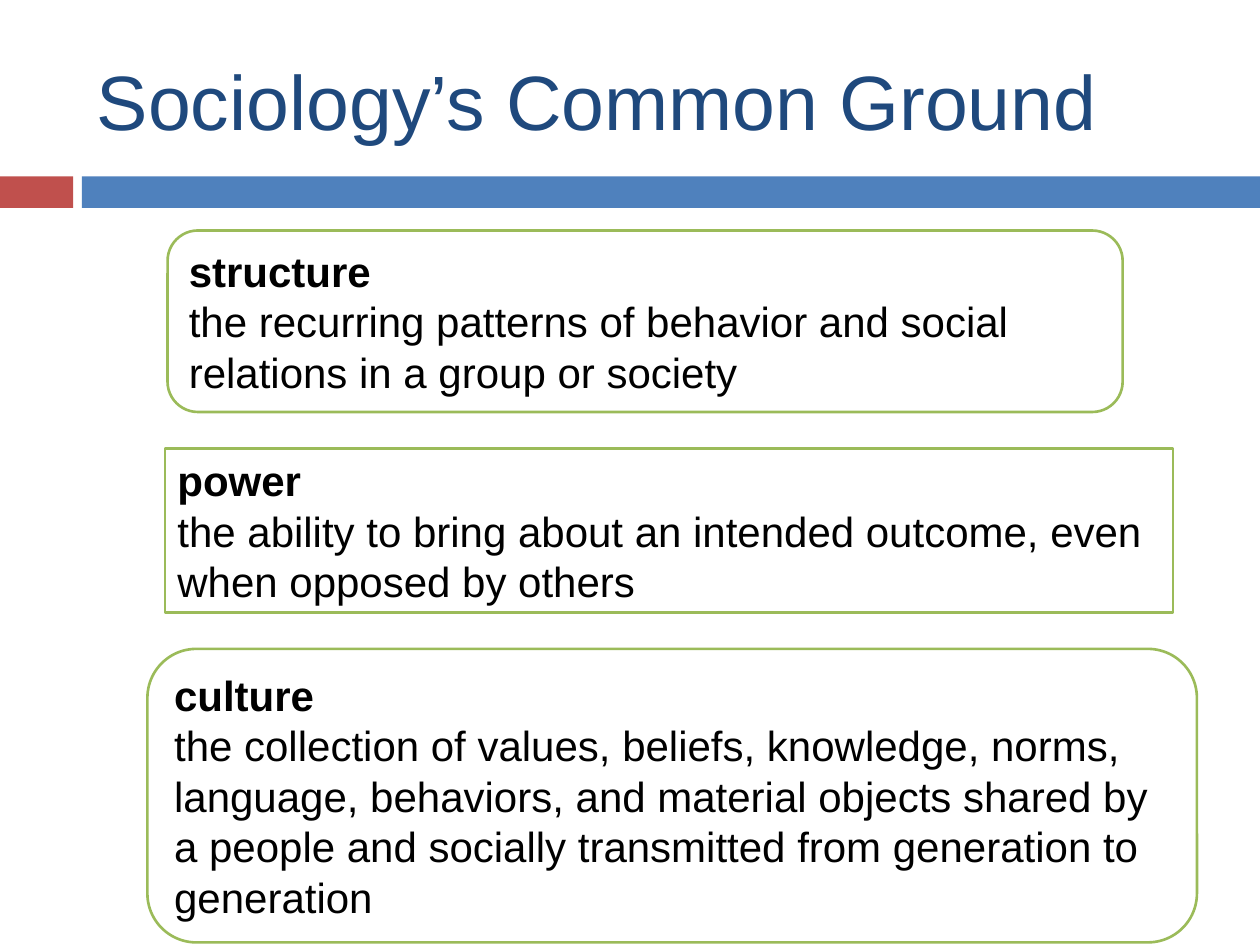
from pptx import Presentation
from pptx.dml.color import RGBColor
from pptx.enum.shapes import MSO_SHAPE
from pptx.enum.text import MSO_ANCHOR, PP_ALIGN
from pptx.util import Inches, Pt

RECTANGLE = MSO_SHAPE.RECTANGLE
ROUNDED = MSO_SHAPE.ROUNDED_RECTANGLE
TOP, MIDDLE = MSO_ANCHOR.TOP, MSO_ANCHOR.MIDDLE
LEFT = PP_ALIGN.LEFT


def color(hex_string):
    return RGBColor.from_string(hex_string)


def format_paragraph(paragraph, size, hex_string, bold=False):
    paragraph.alignment = LEFT
    for run in paragraph.runs:
        run.font.name = "Arial"
        run.font.size = Pt(size)
        run.font.bold = bold
        run.font.color.rgb = color(hex_string)


presentation = Presentation()
presentation.slide_width = Inches(10)
presentation.slide_height = Inches(7.5)
slide = presentation.slides.add_slide(presentation.slide_layouts[6])

# Two-coloured band under the title
for left, width, fill in [(0, 0.58, "C0504D"), (0.65, 9.35, "4F81BD")]:
    band = slide.shapes.add_shape(
        RECTANGLE, Inches(left), Inches(1.4), Inches(width), Inches(0.25))
    band.shadow.inherit = False
    band.fill.solid()
    band.fill.fore_color.rgb = color(fill)
    band.line.fill.background()

# Title
title = slide.shapes.add_textbox(
    Inches(0.67), Inches(0.25), Inches(8.92), Inches(1.08))
title_frame = title.text_frame
title_frame.word_wrap = True
title_frame.vertical_anchor = MIDDLE
title_frame.text = "Sociology’s Common Ground"
format_paragraph(title_frame.paragraphs[0], 44, "1F497D")

# Definition boxes: term, definition, left, top, width, height, corner rounding
definitions = [
    ("structure",
     "the recurring patterns of behavior and social relations in a group or society",
     1.33, 1.83, 7.58, 1.44, 0.167),
    ("power",
     "the ability to bring about an intended outcome, even when opposed by others",
     1.31, 3.56, 8, 1.3, 0),
    ("culture",
     "the collection of values, beliefs, knowledge, norms, language, behaviors, "
     "and material objects shared by a people and socially transmitted from "
     "generation to generation",
     1.17, 5.15, 8.33, 2.33, 0.167),
]
for term, definition, left, top, width, height, rounding in definitions:
    box = slide.shapes.add_shape(
        ROUNDED, Inches(left), Inches(top), Inches(width), Inches(height))
    box.adjustments[0] = rounding
    box.shadow.inherit = False
    box.fill.solid()
    box.fill.fore_color.rgb = color("FFFFFF")
    box.line.color.rgb = color("9BBB59")
    box.line.width = Pt(1.5)

    frame = box.text_frame
    frame.word_wrap = True
    frame.vertical_anchor = TOP
    frame.text = term
    format_paragraph(frame.paragraphs[0], 24, "000000", bold=True)
    paragraph = frame.add_paragraph()
    paragraph.text = definition
    format_paragraph(paragraph, 24, "000000")

presentation.save("out.pptx")
